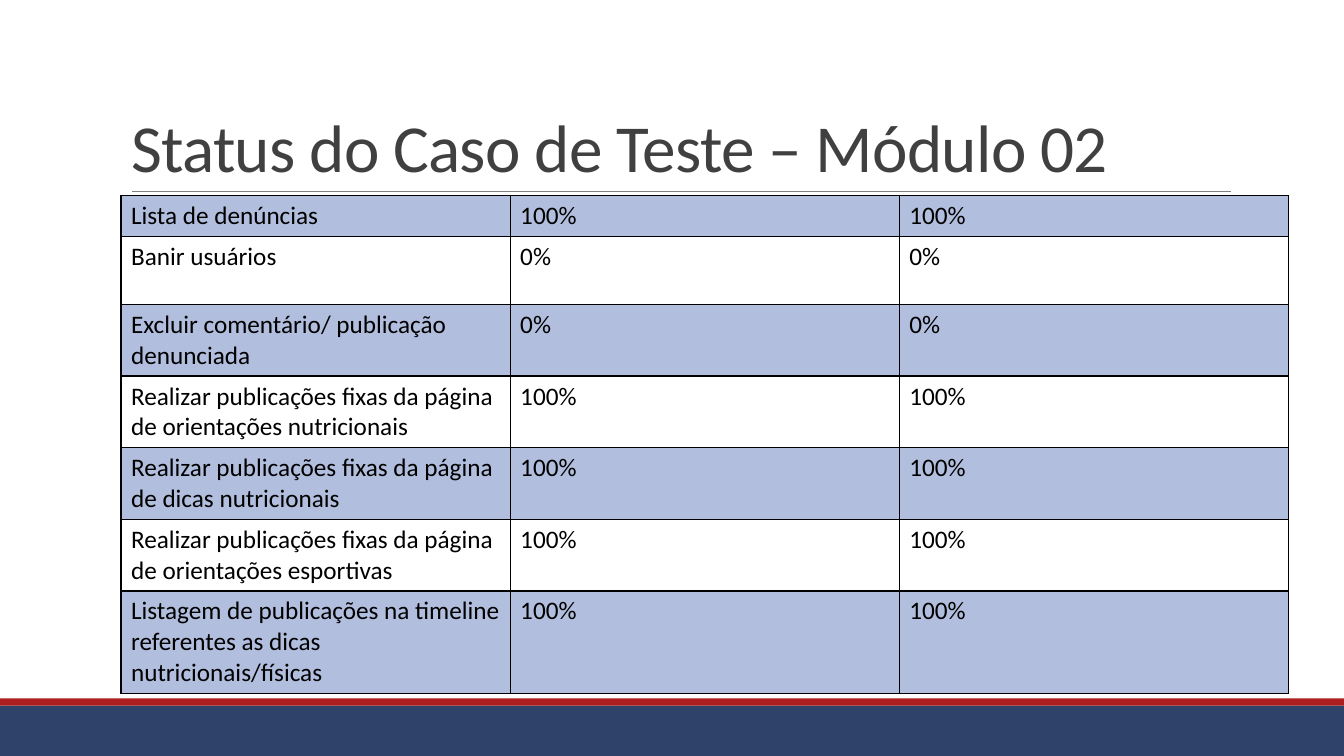
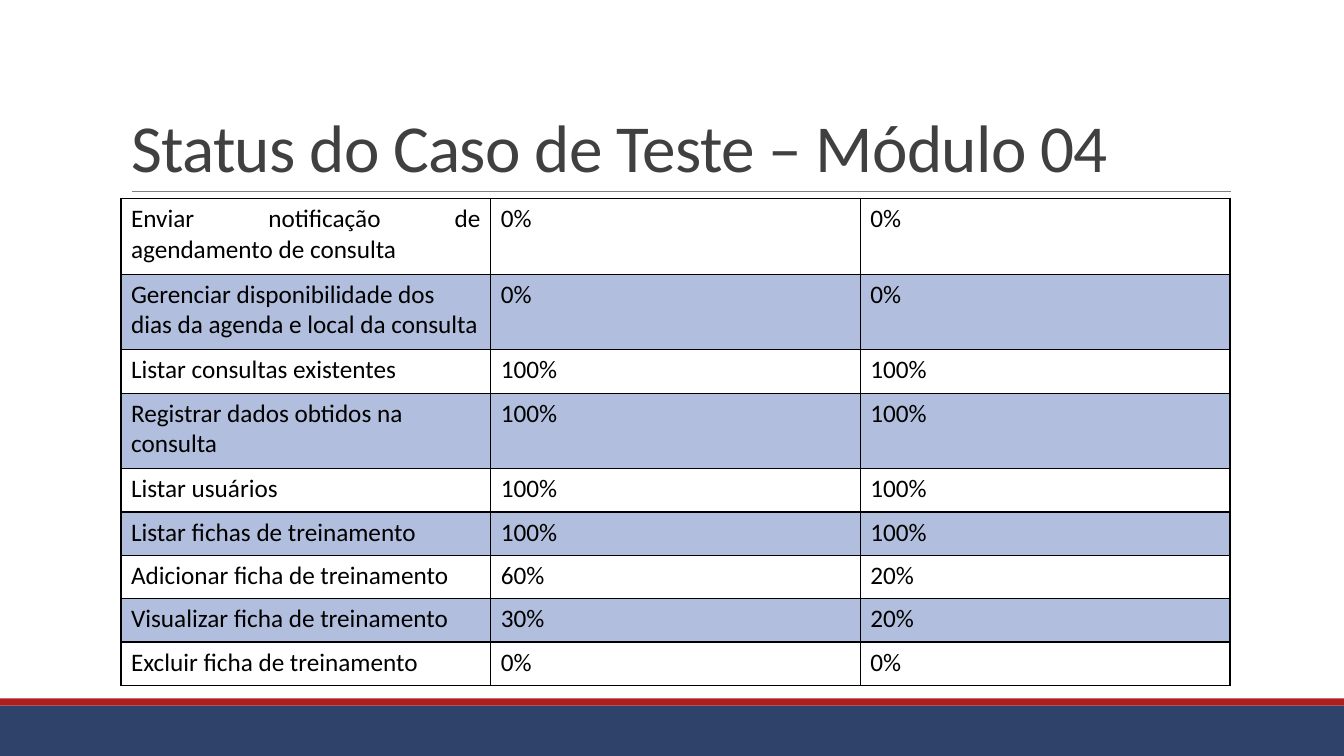
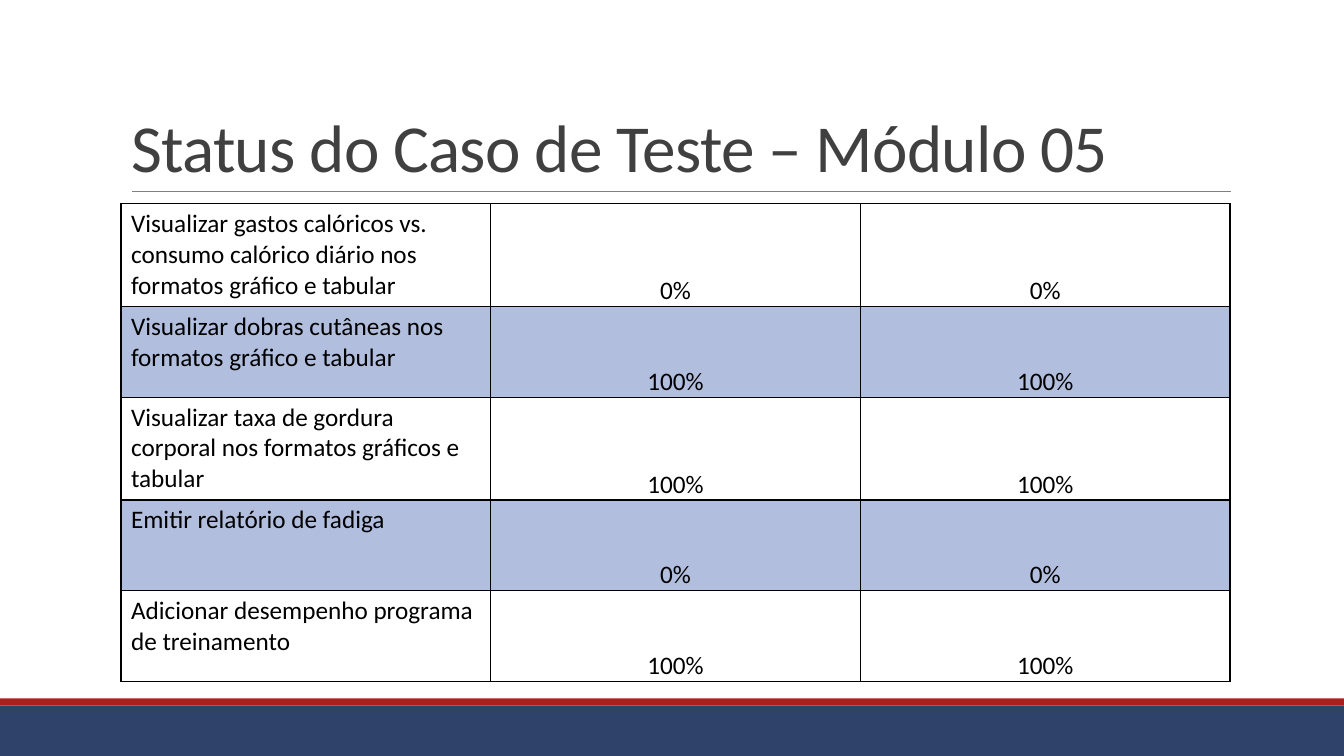
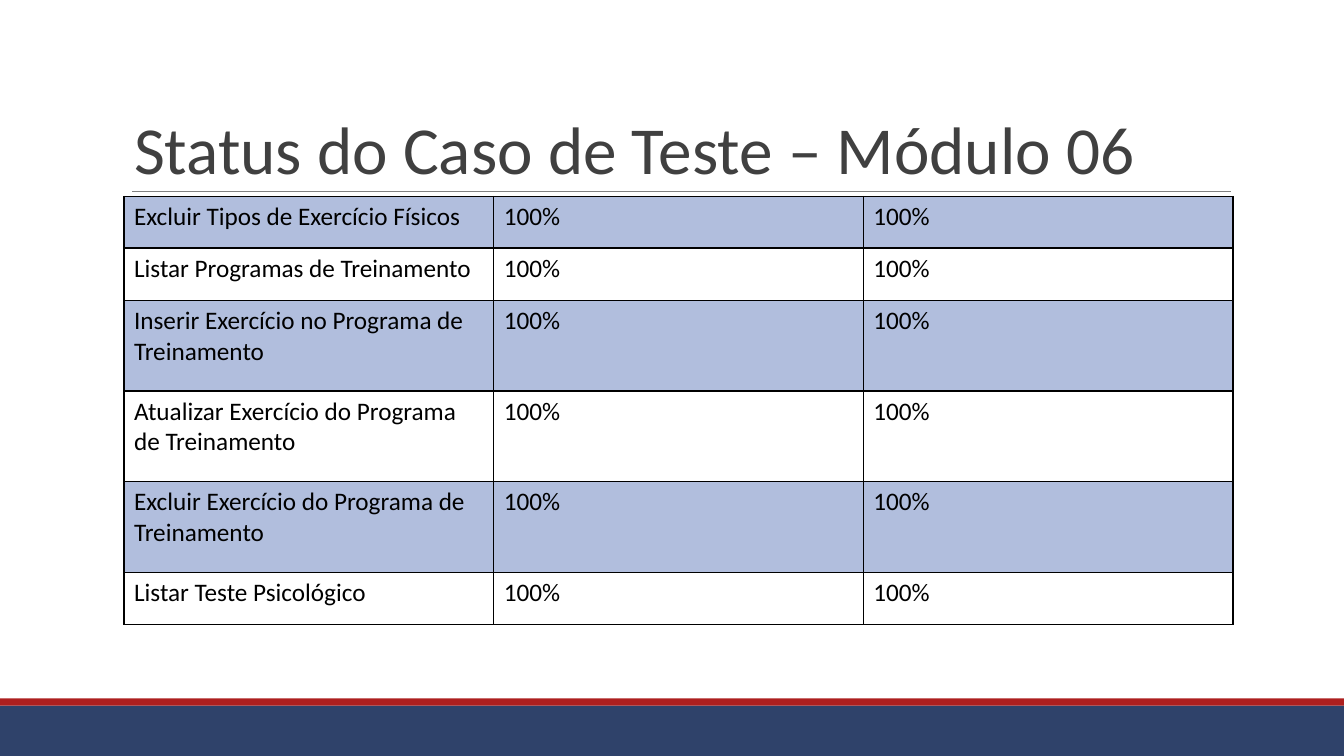
from lxml import etree
from pptx import Presentation
from pptx.dml.color import RGBColor
from pptx.enum.shapes import MSO_CONNECTOR, MSO_SHAPE
from pptx.enum.text import MSO_ANCHOR, MSO_AUTO_SIZE, PP_ALIGN
from pptx.oxml.ns import qn
from pptx.util import Inches, Pt

COLORS = {
    "navy": "2F426A",
    "red": "AD1F1F",
    "rule": "808080",
    "title": "404040",
    "text": "000000",
    "border": "000000",
    "shaded": "B1BEDD",
    "plain": "FFFFFF",
}
FONT = "Calibri"
SLIDE_WIDTH, SLIDE_HEIGHT = 13.33, 7.5
BANDS = [("navy", 7, 0.5), ("red", 6.93, 0.07)]  # colour, top, height
TITLE = {"box": (1.2, 0.31, 11, 1.59), "anchor": MSO_ANCHOR.BOTTOM,
         "line_spacing": 0.85, "tracking": -50, "wrap": True}
FREE_TITLE = {"box": (1.23, 1.01, 10.4, 0.91), "anchor": MSO_ANCHOR.TOP,
              "line_spacing": 1.0, "tracking": 0, "wrap": False}

# Each row: test case, two percentages, row height.
MODULES = [
    {
        "title": "Status do Caso de Teste – Módulo 02",
        "table": (1.2, 1.94, 11.58),
        "first_shaded": True,
        "rows": [
            ("Lista de denúncias", "100%", "100%", 0.41),
            ("Banir usuários", "0%", "0%", 0.67),
            ("Excluir comentário/ publicação denunciada", "0%", "0%", 0.71),
            ("Realizar publicações fixas da página de orientações nutricionais", "100%", "100%", 0.71),
            ("Realizar publicações fixas da página de dicas nutricionais", "100%", "100%", 0.71),
            ("Realizar publicações fixas da página de orientações esportivas", "100%", "100%", 0.71),
            ("Listagem de publicações na timeline referentes as dicas nutricionais/físicas",
             "100%", "100%", 1.02),
        ],
    },
    {
        "title": "Status do Caso de Teste – Módulo 04",
        "table": (1.2, 1.97, 11),
        "justify_first": True,
        "rows": [
            ("Enviar notificação de agendamento de consulta", "0%", "0%", 0.75),
            ("Gerenciar disponibilidade dos dias da agenda e local da consulta", "0%", "0%", 0.75),
            ("Listar consultas existentes", "100%", "100%", 0.43),
            ("Registrar dados obtidos na consulta", "100%", "100%", 0.75),
            ("Listar usuários", "100%", "100%", 0.43),
            ("Listar fichas de treinamento", "100%", "100%", 0.43),
            ("Adicionar ficha de treinamento", "60%", "20%", 0.43),
            ("Visualizar ficha de treinamento", "30%", "20%", 0.43),
            ("Excluir ficha de treinamento", "0%", "0%", 0.43),
        ],
    },
    {
        "title": "Status do Caso de Teste – Módulo 05",
        "table": (1.2, 2.02, 11),
        "low_values": True,
        "rows": [
            ("Visualizar gastos calóricos vs. consumo calórico diário nos formatos gráfico e tabular",
             "0%", "0%", 1.02),
            ("Visualizar dobras cutâneas nos formatos gráfico e tabular", "100%", "100%", 0.9),
            ("Visualizar taxa de gordura corporal nos formatos gráficos e tabular", "100%", "100%", 1.02),
            ("Emitir relatório de fadiga", "0%", "0%", 0.9),
            ("Adicionar desempenho programa de treinamento", "100%", "100%", 0.9),
        ],
    },
    {
        "title": "Status do Caso de Teste – Módulo 06",
        "title_style": FREE_TITLE,
        "table": (1.23, 1.95, 11),
        "first_shaded": True,
        "rows": [
            ("Excluir Tipos de Exercício Físicos", "100%", "100%", 0.51),
            ("Listar Programas de Treinamento", "100%", "100%", 0.52),
            ("Inserir Exercício no Programa de Treinamento", "100%", "100%", 0.9),
            ("Atualizar Exercício do Programa de Treinamento", "100%", "100%", 0.9),
            ("Excluir Exercício do Programa de Treinamento", "100%", "100%", 0.9),
            ("Listar Teste Psicológico", "100%", "100%", 0.52),
        ],
    },
]


def color(name):
    return RGBColor.from_string(COLORS[name])


def write_text(text_frame, text, size=18, fill="text", align=PP_ALIGN.LEFT,
               line_spacing=None, tracking=0):
    paragraph = text_frame.paragraphs[0]
    paragraph.alignment = align
    paragraph.line_spacing = line_spacing
    run = paragraph.add_run()
    run.text = text
    run.font.name = FONT
    run.font.size = Pt(size)
    run.font.color.rgb = color(fill)
    if tracking:
        run.font._element.set("spc", str(tracking))


def decorate_layout(slide):
    """Build the bands and title rule, then move them to the slide's layout."""
    layout_tree = slide.slide_layout.shapes.element
    for fill, top, height in BANDS:
        band = slide.shapes.add_shape(MSO_SHAPE.RECTANGLE, 0, Inches(top),
                                      Inches(SLIDE_WIDTH), Inches(height))
        band.shadow.inherit = False
        band.fill.solid()
        band.fill.fore_color.rgb = color(fill)
        band.line.fill.background()
        layout_tree.append(band.element)
    rule = slide.shapes.add_connector(MSO_CONNECTOR.STRAIGHT, Inches(1.31), Inches(1.9),
                                      Inches(12.21), Inches(1.9))
    rule.line.color.rgb = color("rule")
    rule.line.width = Pt(0.5)
    etree.SubElement(rule.element.spPr, qn("a:effectLst"))
    layout_tree.append(rule.element)


def add_title(slide, text, style):
    title = slide.shapes.title
    title.left, title.top, title.width, title.height = map(Inches, style["box"])
    frame = title.text_frame
    frame.auto_size = MSO_AUTO_SIZE.NONE
    frame.word_wrap = style["wrap"]
    frame.vertical_anchor = style["anchor"]
    write_text(frame, text, size=48, fill="title",
               line_spacing=style["line_spacing"], tracking=style["tracking"])


def add_borders(cell):
    properties = cell._tc.get_or_add_tcPr()
    for side in ("lnL", "lnR", "lnT", "lnB"):
        line = etree.SubElement(properties, qn(f"a:{side}"), w=str(Pt(1)))
        solid = etree.SubElement(line, qn("a:solidFill"))
        etree.SubElement(solid, qn("a:srgbClr"), val=COLORS["border"])


def add_status_table(slide, module):
    rows = module["rows"]
    left, top, width = module["table"]
    height = sum(row[-1] for row in rows)
    table = slide.shapes.add_table(len(rows), 3, Inches(left), Inches(top),
                                   Inches(width), Inches(height)).table
    table.first_row = table.horz_banding = False
    for row_index, (*texts, row_height) in enumerate(rows):
        table.rows[row_index].height = Inches(row_height)
        shaded = (row_index % 2 == 0) == module.get("first_shaded", False)
        for column_index, text in enumerate(texts):
            cell = table.cell(row_index, column_index)
            add_borders(cell)
            cell.fill.solid()
            cell.fill.fore_color.rgb = color("shaded" if shaded else "plain")
            align = PP_ALIGN.LEFT
            if column_index and module.get("low_values"):
                align = PP_ALIGN.CENTER
                cell.vertical_anchor = MSO_ANCHOR.BOTTOM
                cell.margin_left = cell.margin_right = cell.margin_top = Inches(0.01)
                cell.margin_bottom = 0
            elif row_index == column_index == 0 and module.get("justify_first"):
                align = PP_ALIGN.JUSTIFY
            write_text(cell.text_frame, text, align=align)


def main():
    presentation = Presentation()
    presentation.slide_width = Inches(SLIDE_WIDTH)
    presentation.slide_height = Inches(SLIDE_HEIGHT)
    title_only = presentation.slide_layouts[5]
    for index, module in enumerate(MODULES):
        slide = presentation.slides.add_slide(title_only)
        if index == 0:
            decorate_layout(slide)
        add_title(slide, module["title"], module.get("title_style", TITLE))
        add_status_table(slide, module)
    presentation.save("out.pptx")


if __name__ == "__main__":
    main()
